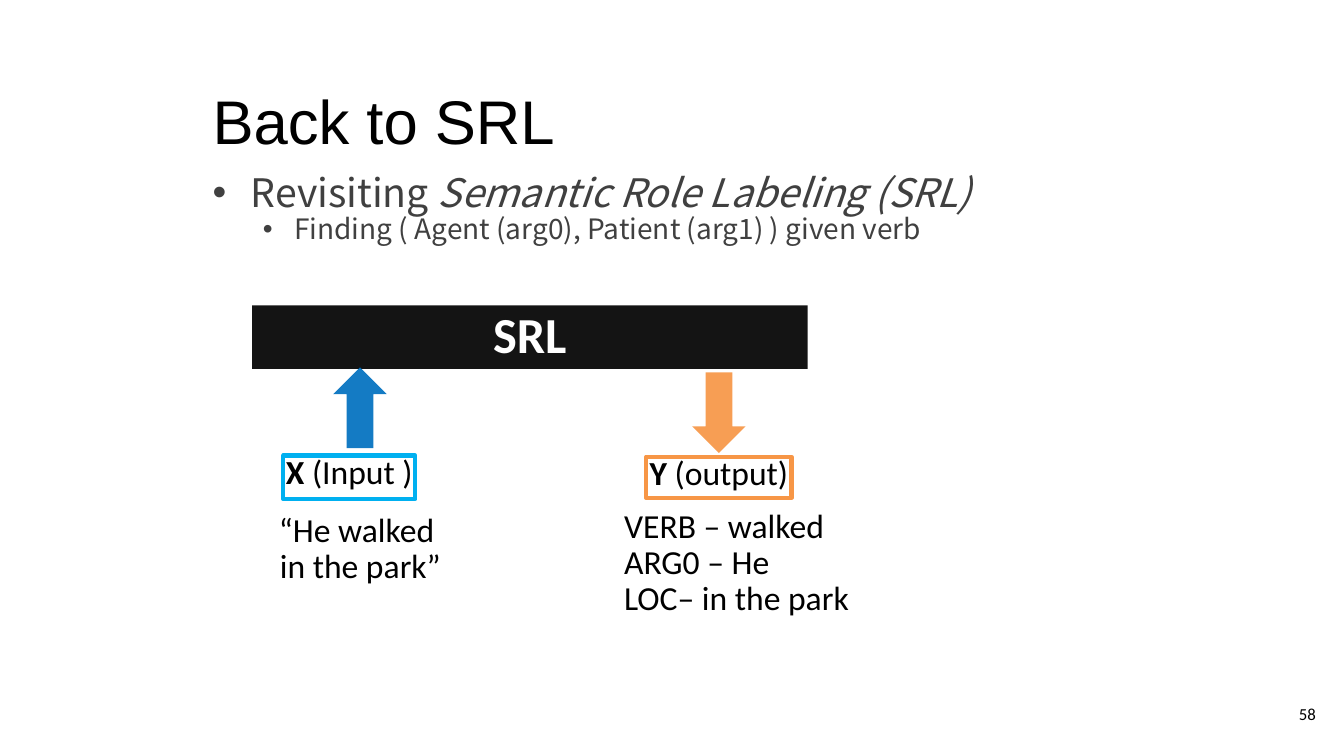
from lxml import etree
from pptx import Presentation
from pptx.dml.color import RGBColor
from pptx.enum.shapes import MSO_SHAPE
from pptx.enum.text import MSO_ANCHOR, PP_ALIGN
from pptx.oxml.ns import qn
from pptx.util import Pt

PX = 9144
RECT, ARROW = MSO_SHAPE.RECTANGLE, MSO_SHAPE.RIGHT_ARROW
TOP, MIDDLE = MSO_ANCHOR.TOP, MSO_ANCHOR.MIDDLE
LEFT, CENTER, RIGHT = PP_ALIGN.LEFT, PP_ALIGN.CENTER, PP_ALIGN.RIGHT
BLACK, WHITE, GRAY = "000000", "FFFFFF", "404040"
BLUE, CYAN, ORANGE = "0070C0", "00B0F0", "F79646"
BODY_FONT = "Noto Sans CJK KR"


def px(*values):
    return [round(v * PX) for v in values]


def color(value):
    return RGBColor.from_string(value)


def set_frame(tf, insets=(0, 0, 0, 0), anchor=TOP, wrap=False):
    tf.margin_left, tf.margin_top, tf.margin_right, tf.margin_bottom = px(*insets)
    tf.vertical_anchor = anchor
    tf.word_wrap = wrap


def add_text(p, text, size=24, font="Calibri", fill=BLACK, bold=False,
             italic=False, align=LEFT, spacing=0.9):
    p.alignment = align
    p.line_spacing = spacing
    for i, line in enumerate(text.split("\n")):
        if i:
            p.add_line_break()
        r = p.add_run()
        r.text = line
        r.font.size = Pt(size)
        r.font.name = font
        r.font.bold = bold
        r.font.italic = italic
        r.font.color.rgb = color(fill)
        for tag in ("a:ea", "a:cs"):
            etree.SubElement(r.font._element, qn(tag), typeface=font)


def add_box(s, box, paragraphs, insets=(0, 0, 0, 0), anchor=TOP, wrap=False, **fmt):
    tf = s.shapes.add_textbox(*px(*box)).text_frame
    set_frame(tf, insets, anchor, wrap)
    for i, text in enumerate(paragraphs):
        p = tf.add_paragraph() if i else tf.paragraphs[0]
        add_text(p, text, **fmt)
    return tf


def add_bullet(p, level, margin, hanging):
    p.level = level
    pPr = p._p.get_or_add_pPr()
    pPr.set("marL", str(margin * PX))
    pPr.set("indent", str(-hanging * PX))
    etree.SubElement(pPr, qn("a:buFont"), typeface="Arial")
    etree.SubElement(pPr, qn("a:buChar"), char="•")


def add_shape(s, kind, box, fill=None, line=None, rotation=0):
    sp = s.shapes.add_shape(kind, *px(*box))
    sp.shadow.inherit = False
    sp.rotation = rotation
    if fill:
        sp.fill.solid()
        sp.fill.fore_color.rgb = color(fill)
        srgb = sp._element.spPr.find(qn("a:solidFill")).find(qn("a:srgbClr"))
        etree.SubElement(srgb, qn("a:alpha"), val="92000")
    else:
        sp.fill.background()
    if line:
        sp.line.color.rgb = color(line)
        sp.line.width = Pt(3)
    else:
        sp.line.fill.background()
    return sp


def add_label(s, box, line, symbol, note):
    tf = add_shape(s, RECT, box, line=line).text_frame
    set_frame(tf)
    p = tf.paragraphs[0]
    add_text(p, symbol, bold=True, align=CENTER)
    add_text(p, note, align=CENTER)


def main():
    prs = Presentation()
    prs.slide_width, prs.slide_height = px(1333, 750)
    s = prs.slides.add_slide(prs.slide_layouts[6])

    add_box(s, (1235, 680, 80, 57), ["58"], (10, 10, 10, 10), MIDDLE, True,
            size=12, align=RIGHT, spacing=1.0)
    add_box(s, (201, 65, 966, 84), ["Back to SRL"], (10, 17, 10, 10), wrap=True,
            size=44, font="Arial", spacing=1.0)

    tf = add_shape(s, RECT, (250, 303, 551, 63), fill=BLACK).text_frame
    set_frame(tf, (8, 4, 8, 4), MIDDLE, True)
    add_text(tf.paragraphs[0], "SRL", size=36, fill=WHITE, bold=True, align=CENTER)

    add_shape(s, ARROW, (317, 378, 80, 53), fill=BLUE, rotation=270)
    add_shape(s, ARROW, (673, 383, 80, 53), fill=ORANGE, rotation=90)
    add_label(s, (641, 453, 144, 41), ORANGE, "Y", " (output)")
    add_label(s, (281, 452, 131, 43), CYAN, "X ", "(Input )")

    body = {"font": BODY_FONT, "fill": GRAY}
    tf = add_box(s, (201, 162, 932, 498), ["Revisiting "], (10, 10, 10, 10),
                 wrap=True, size=28, **body)
    p = tf.paragraphs[0]
    add_text(p, "Semantic Role Labeling (SRL)", size=28, italic=True, **body)
    add_bullet(p, 0, 38, 38)
    p = tf.add_paragraph()
    add_text(p, "Finding ( Agent (arg0), Patient (arg1) ) given verb", size=20, **body)
    add_bullet(p, 1, 81, 31)

    add_box(s, (246, 509, 223, 74), ["“He walked \nin the park”"], align=CENTER)
    add_box(s, (619, 505, 223, 129),
            ["VERB – walked", "ARG0 – He", "LOC– in the park"])

    prs.save("out.pptx")


if __name__ == "__main__":
    main()
